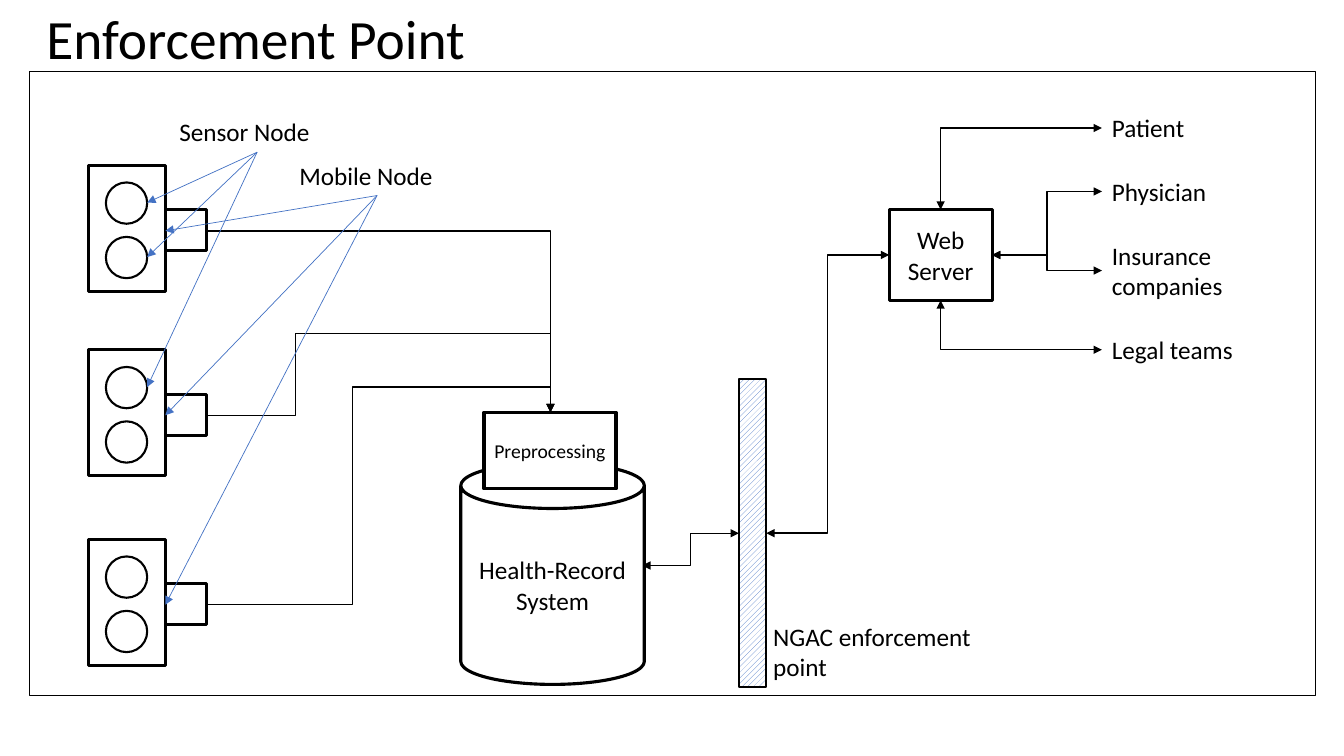
from lxml import etree
from pptx import Presentation
from pptx.dml.color import RGBColor
from pptx.enum.dml import MSO_PATTERN
from pptx.enum.shapes import MSO_CONNECTOR as CONN, MSO_SHAPE as SHAPE
from pptx.enum.text import MSO_ANCHOR as ANCHOR, PP_ALIGN as ALIGN
from pptx.oxml.ns import qn
from pptx.util import Inches, Pt

FONT, BLACK, WHITE, BLUE = "Calibri", "000000", "FFFFFF", "4472C4"


def rgb(value):
    """Turn a hex string into a colour."""
    return RGBColor.from_string(value)


def write(sp, text, size, align=ALIGN.LEFT, anchor=ANCHOR.TOP):
    """Set the text of a shape and format it."""
    tf = sp.text_frame
    tf.text, tf.word_wrap, tf.vertical_anchor = text, True, anchor
    p = tf.paragraphs[0]
    p.alignment = align
    font = p.runs[0].font
    font.name, font.size, font.color.rgb = FONT, Pt(size), rgb(BLACK)
    return tf


def add_label(s, text, x, y, w, h=0.4):
    """Add a plain text label."""
    write(s.shapes.add_textbox(Inches(x), Inches(y), Inches(w), Inches(h)), text, 18)


def add_node(s, kind, box, weight=2.25, fill=None, text="", size=18):
    """Add an outlined shape with optional fill and centred text."""
    sp = s.shapes.add_shape(kind, *map(Inches, box))
    sp.shadow.inherit = False
    sp.line.color.rgb, sp.line.width = rgb(BLACK), Pt(weight)
    if fill:
        sp.fill.solid()
        sp.fill.fore_color.rgb = rgb(fill)
    else:
        sp.fill.background()
    if text:
        tf = write(sp, text, size, ALIGN.CENTER, ANCHOR.MIDDLE)
        tf.margin_left = tf.margin_right = Inches(0.08)
    return sp


def add_arrow(s, start, end, kind=CONN.STRAIGHT, color=BLACK, weight=1, both=False):
    """Add a connector with an arrowhead at its end or at both ends."""
    sp = s.shapes.add_connector(kind, *map(Inches, (*start, *end)))
    sp.line.color.rgb, sp.line.width = rgb(color), Pt(weight)
    ln = sp.line._get_or_add_ln()
    for tag in ("a:headEnd", "a:tailEnd") if both else ("a:tailEnd",):
        etree.SubElement(ln, qn(tag), type="triangle")
    etree.SubElement(sp._element.spPr, qn("a:effectLst"))
    return sp


def add_elbow(s, start, end, preset="bentConnector3", corner=None, both=True):
    """Add a bent connector; corner is the second bend of a four-part one."""
    sp = add_arrow(s, start, end, CONN.ELBOW, both=both)
    geom = sp._element.spPr.find(qn("a:prstGeom"))
    geom.set("prst", preset)
    if corner:
        guides = geom.get_or_add_avLst()
        for i, (a, b, c) in enumerate(zip(start, end, corner), 1):
            ratio = round((c - a) / (b - a) * 100000)
            etree.SubElement(guides, qn("a:gd"), name=f"adj{i}", fmla=f"val {ratio}")


def add_title(s, text, box):
    """Place and format the title."""
    sp = s.shapes.title
    sp.left, sp.top, sp.width, sp.height = map(Inches, box)
    write(sp, text, 39.6, anchor=ANCHOR.MIDDLE).paragraphs[0].line_spacing = 0.9


def add_device(s, x, y):
    """Draw two sensors in a case with a mobile node at its side."""
    add_node(s, SHAPE.RECTANGLE, (x, y, 0.76, 1.25))
    for dy in (0.17, 0.71):
        add_node(s, SHAPE.OVAL, (x + 0.17, y + dy, 0.41, 0.41), 1.5)
    add_node(s, SHAPE.RECTANGLE, (x + 0.76, y + 0.44, 0.41, 0.41))


def add_devices(s, x, tops, target):
    """Draw the devices, their labels and the routes to the target."""
    ports = [y + 0.65 for y in tops]
    for y in tops:
        add_device(s, x, y)
    out = x + 1.17
    add_elbow(s, (out, ports[0]), target, "bentConnector2", both=False)
    for port, corner in zip(ports[1:], ((2.93, 3.31), (3.5, 3.84))):
        add_elbow(s, (out, port), target, "bentConnector4", corner, both=False)
    sensors = [tops[0] + 0.37, tops[0] + 0.91, tops[1] + 0.37]
    groups = (("Sensor Node", 1.68, 1.11, x + 0.58, sensors),
              ("Mobile Node", 2.87, 1.54, x + 0.76, ports))
    for text, left, top, tip, heights in groups:
        add_label(s, text, left, top, 1.74)
        for y in heights:
            add_arrow(s, (left + 0.87, top + 0.4), (tip, y), color=BLUE, weight=0.5)


def add_records(s, x, y):
    """Draw the record store with preprocessing on top."""
    add_node(s, SHAPE.CAN, (x, y + 0.5, 1.82, 2.2), fill=WHITE, text="Health-Record System")
    add_node(s, SHAPE.RECTANGLE, (x + 0.23, y, 1.31, 0.76), fill=WHITE,
             text="Preprocessing", size=14)


def add_enforcement(s, x, y, w, h):
    """Draw the hatched enforcement bar and its label."""
    fill = add_node(s, SHAPE.RECTANGLE, (x, y, w, h), 1.5).fill
    fill.patterned()
    fill.pattern = MSO_PATTERN.WIDE_UPWARD_DIAGONAL
    fill.fore_color.rgb, fill.back_color.rgb = rgb(BLUE), rgb(WHITE)
    add_label(s, "NGAC enforcement point", x + 0.24, y + h - 0.71, 2.27, 0.71)


def add_server(s, x, y, w, h):
    """Draw the web server and the users linked to it."""
    add_node(s, SHAPE.RECTANGLE, (x, y, w, h), text="Web Server")
    top, right, bottom = (x + w / 2, y), (x + w, y + h / 2), (x + w / 2, y + h)
    users = (("Patient", 1.07, 0.4, top, "bentConnector2"),
             ("Physician", 1.7, 0.4, right, "bentConnector3"),
             ("Insurance companies", 2.33, 0.71, right, "bentConnector3"),
             ("Legal teams", 3.27, 0.4, bottom, "bentConnector2"))
    left = x + 2.11
    for text, label_top, height, port, preset in users:
        add_label(s, text, left, label_top, 1.57, height)
        add_elbow(s, (left, label_top + height / 2), port, preset)


def main():
    """Build and save the slide."""
    prs = Presentation()
    prs.slide_width, prs.slide_height = Inches(13.33), Inches(7.5)
    s = prs.slides.add_slide(prs.slide_layouts[5])
    add_title(s, "Enforcement Point", (0.36, 0.13, 11.5, 0.57))
    add_node(s, SHAPE.RECTANGLE, (0.29, 0.71, 12.76, 6.19), 1)
    add_devices(s, 0.88, (1.64, 3.47, 5.35), (5.46, 4.09))
    add_enforcement(s, 7.33, 3.76, 0.27, 3.06)
    add_server(s, 8.82, 2.08, 1.02, 0.9)
    add_elbow(s, (8.82, 2.53), (7.6, 5.29))
    add_elbow(s, (7.33, 5.29), (6.37, 5.61))
    add_records(s, 4.57, 4.09)
    prs.save("out.pptx")


if __name__ == "__main__":
    main()
